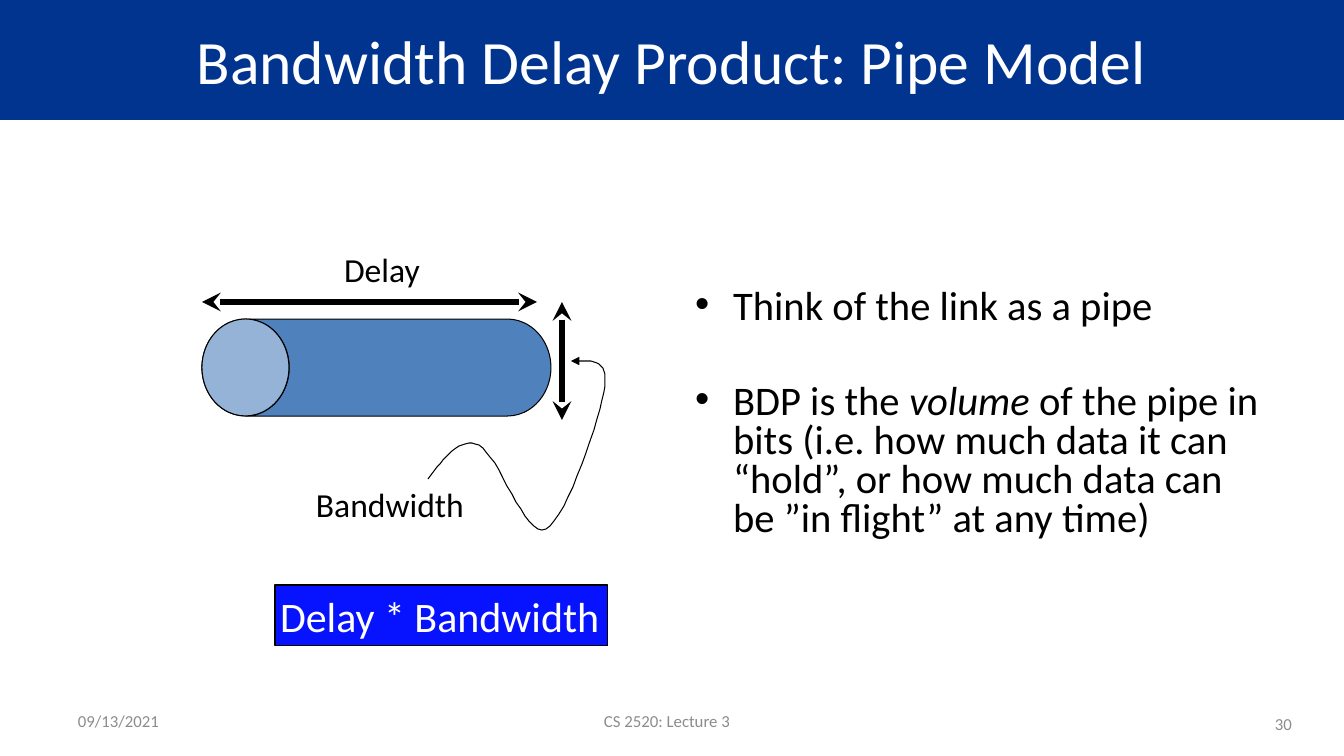
from lxml import etree
from pptx import Presentation
from pptx import util as u
from pptx.dml.color import RGBColor
from pptx.enum import shapes, text
from pptx.oxml.ns import qn

PX = 914400 / 100.8
BLACK = RGBColor(0x00, 0x00, 0x00)
WHITE = RGBColor(0xFF, 0xFF, 0xFF)
GREY = RGBColor(0x8C, 0x8C, 0x8C)
NAVY = RGBColor(0x00, 0x34, 0x8F)
PIPE_BLUE = RGBColor(0x4F, 0x81, 0xBD)
PIPE_LIGHT = RGBColor(0x95, 0xB3, 0xD7)
BRIGHT_BLUE = RGBColor(0x07, 0x13, 0xFF)
LEFT, CENTER, RIGHT = text.PP_ALIGN.LEFT, text.PP_ALIGN.CENTER, text.PP_ALIGN.RIGHT
TOP, MIDDLE = text.MSO_ANCHOR.TOP, text.MSO_ANCHOR.MIDDLE


def px(*lengths):
    return [round(length * PX) for length in lengths]


def write(paragraph, wording, size=24, color=BLACK, align=LEFT, italic=False):
    paragraph.alignment = align
    run = paragraph.add_run()
    run.text = wording
    run.font.name = "Calibri"
    run.font.size = u.Pt(size)
    run.font.color.rgb = color
    run.font.italic = italic


prs = Presentation()
prs.slide_width, prs.slide_height = px(1344, 756)
slide = prs.slides.add_slide(prs.slide_layouts[1])
title, body = slide.placeholders[0], slide.placeholders[1]

# Title band
title.left, title.top, title.width, title.height = px(0, 0, 1344, 120)
title.fill.solid()
title.fill.fore_color.rgb = NAVY
title.text_frame.vertical_anchor = MIDDLE
write(title.text_frame.paragraphs[0], "Bandwidth Delay Product: Pipe Model",
      size=44, color=WHITE, align=CENTER)

# Bullets
body.left, body.top, body.width, body.height = px(685, 284, 595, 332)
body.text_frame.auto_size = text.MSO_AUTO_SIZE.NONE
bullets = [
    (6, [("Think of the link as a pipe", False)]),
    (40, [("BDP is the ", False), ("volume ", True),
          ("of the pipe in bits (i.e. how much data it can “hold”, "
           "or how much data can be ”in flight” at any time)", False)]),
]
for i, (space, pieces) in enumerate(bullets):
    bullet = body.text_frame.paragraphs[0] if i == 0 else body.text_frame.add_paragraph()
    bullet.line_spacing = 0.8
    bullet.space_before = u.Pt(space)
    indent, = px(38)
    properties = bullet._p.get_or_add_pPr()
    properties.set("marL", str(indent))
    properties.set("indent", str(-indent))
    for wording, italic in pieces:
        write(bullet, wording, size=29, italic=italic)

# Pipe: a can lying on its side, with a lighter open end
pipe = slide.shapes.add_shape(shapes.MSO_SHAPE.CAN, *px(328, 193, 97, 349))
pipe.rotation = 270
pipe.adjustments[0] = 0.9
pipe_end = slide.shapes.add_shape(shapes.MSO_SHAPE.OVAL, *px(202, 319, 87, 97))
product = slide.shapes.add_shape(shapes.MSO_SHAPE.RECTANGLE, *px(275, 585, 333, 61))
for part, color in ((pipe, PIPE_BLUE), (pipe_end, PIPE_LIGHT), (product, BRIGHT_BLUE)):
    part.shadow.inherit = False
    part.fill.solid()
    part.fill.fore_color.rgb = color
    part.line.color.rgb = BLACK
    part.line.width = u.Pt(0.75)

# Product of the two measures
product_text = product.text_frame
product_text.word_wrap = False
product_text.margin_left, product_text.margin_right = px(5, 5)
write(product_text.paragraphs[0], "Delay * Bandwidth", size=30, color=WHITE)

# Delay and bandwidth arrows
for ends in ((202, 302, 537, 302), (562, 302, 562, 420)):
    measure = slide.shapes.add_connector(shapes.MSO_CONNECTOR.STRAIGHT, *px(*ends))
    measure.line.color.rgb = BLACK
    measure.line.width = u.Pt(4.5)
    for end in ("a:headEnd", "a:tailEnd"):
        etree.SubElement(measure.line._get_or_add_ln(), qn(end), type="stealth")
    etree.SubElement(measure._element.spPr, qn("a:effectLst"))

# Winding pointer from the bandwidth label, traced along cubic curves
start = (428, 479)
curves = [
    ((444, 458), (460, 436), (479, 445)),
    ((498, 454), (525, 539), (546, 529)),
    ((567, 519), (601, 414), (605, 386)),
    ((609, 359), (590, 360), (571, 361)),
]
STEPS = 16
trace, here = [], start
for first, second, there in curves:
    for step in range(1, STEPS + 1):
        t = step / STEPS
        trace.append(tuple(
            (1 - t) ** 3 * a + 3 * t * (1 - t) ** 2 * b + 3 * t ** 2 * (1 - t) * c + t ** 3 * d
            for a, b, c, d in zip(here, first, second, there)))
    here = there
builder = slide.shapes.build_freeform(*start, scale=PX)
builder.add_line_segments(trace, close=False)
pointer = builder.convert_to_shape()
pointer.shadow.inherit = False
pointer.fill.background()
pointer.line.color.rgb = BLACK
pointer.line.width = u.Pt(0.75)
etree.SubElement(pointer.line._get_or_add_ln(), qn("a:tailEnd"), type="triangle")

# Labels and footer
labels = [
    ("Delay", (302, 244, 160, 50), 5, TOP, dict(align=CENTER)),
    ("Bandwidth", (311, 479, 244, 50), 5, TOP, {}),
    ("09/13/2021", (68, 701, 165, 40), 10, MIDDLE, dict(size=12, color=GREY)),
    ("CS 2520: Lecture 3", (207, 701, 920, 40), 10, MIDDLE,
     dict(size=12, color=GREY, align=CENTER)),
    ("30", (1251, 706, 51, 35), 10, MIDDLE, dict(size=12, color=GREY, align=RIGHT)),
]
for wording, place, margin, anchor, style in labels:
    frame = slide.shapes.add_textbox(*px(*place)).text_frame
    frame.word_wrap = True
    frame.margin_left, frame.margin_right = px(margin, margin)
    frame.margin_top, frame.margin_bottom = px(5, 5)
    frame.vertical_anchor = anchor
    write(frame.paragraphs[0], wording, **style)

prs.save("out.pptx")
